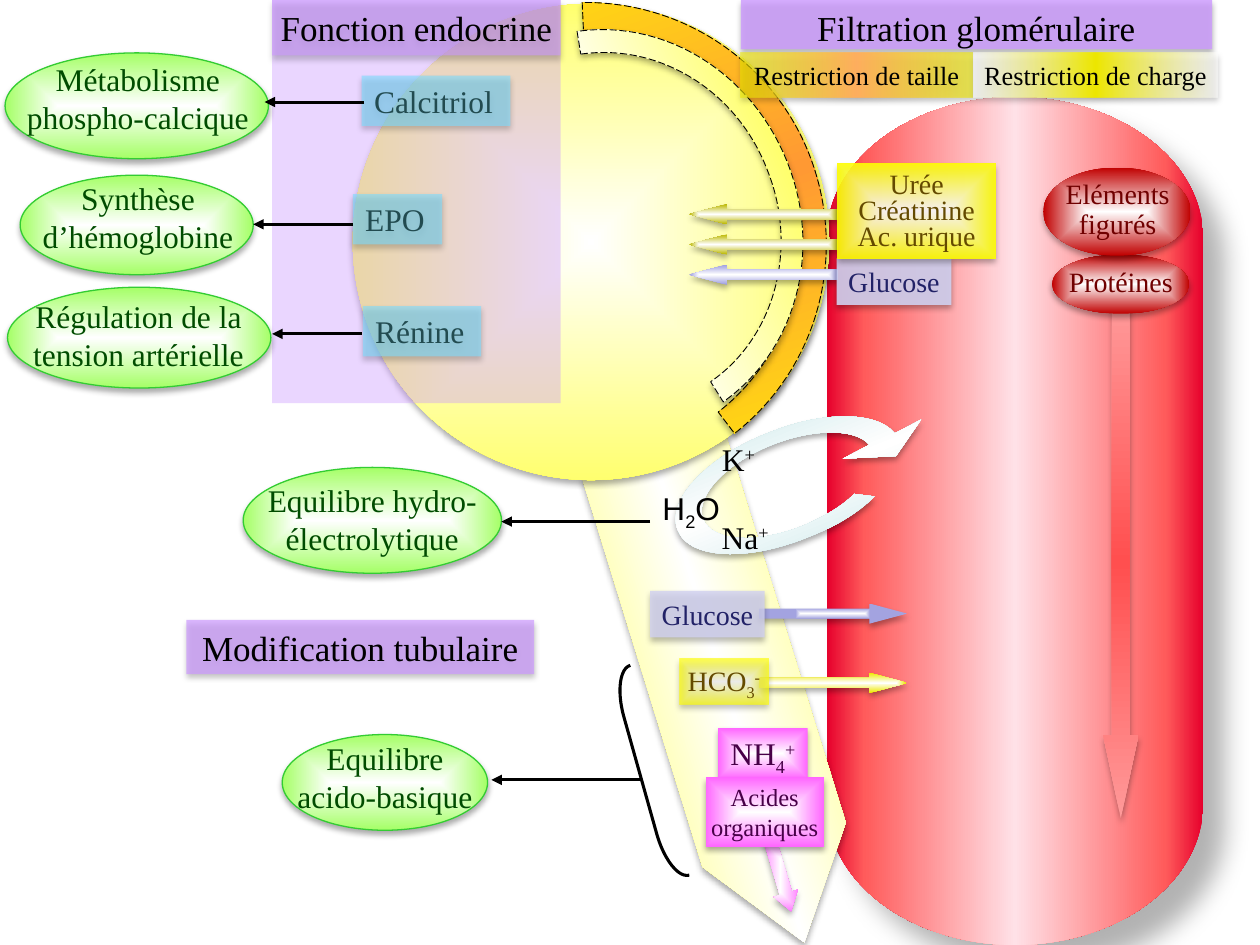
import math

from pptx import Presentation
from pptx import util as u
from pptx.dml.color import RGBColor
from pptx.enum import dml, shapes, text
from pptx.oxml import ns, parse_xml

HUES = dict(
    white="FFFFFF", black="000000", crimson="E6002C", red="FF5B5B", blush="FFE1E7",
    lemon="FFFF4F", yellow="FFFF00", gold="EEE800", amber="F0EA00", orange="FF9933",
    peach="FFAF5F", olive="BCB800", brown="644A00", violet="CC99FF", sky="7DDDFF",
    teal="224B50", lime="A5FF67", green="33CC33", forest="004C00", ice="BBE0E3",
    lilac="D1D1F0", iris="9C9CDF", mauve="A3A3E0", navy="222267", pink="FF66FF",
    plum="480048", blood="C00000", wine="700000", rose="FF9999", coral="FF4F4F")
KIND = shapes.MSO_SHAPE
ALIGN = text.PP_ALIGN
INCH = 2.54  # the layout grid is in inches
SOFT = (32, 3.5, 2.2, 90)  # shadow: opacity, blur, distance, angle
SERIF = "Times New Roman"

deck = Presentation()
deck.slide_width, deck.slide_height = u.Cm(10 * INCH), u.Cm(7.5 * INCH)
slide = deck.slides.add_slide(deck.slide_layouts[6])


def grid(*vals):
    return [u.Cm(v * INCH) for v in vals]


def rgb(hue):
    return RGBColor.from_string(HUES[hue])


def tint(hue, alpha=100):
    veil = f'<a:alpha val="{alpha * 1000}"/>' if alpha < 100 else ""
    return f'<a:srgbClr {ns.nsdecls("a")} val="{HUES[hue]}">{veil}</a:srgbClr>'


def glow(hue, alpha=100, end=100):
    return [(0, "white", alpha), (end, hue, alpha)]


def paint(shape, stops, ang=None):
    """One stop gives a plain fill; no angle gives a fill from the centre."""
    if len(stops) == 1:
        xml = f'<a:solidFill {ns.nsdecls("a")}>{tint(*stops[0][1:])}</a:solidFill>'
    else:
        marks = "".join(f'<a:gs pos="{pos * 1000}">{tint(*hue)}</a:gs>' for pos, *hue in stops)
        way = f'<a:lin ang="{(ang or 0) * 60000}" scaled="0"/>'
        if ang is None:
            way = ('<a:path path="shape"><a:fillToRect l="50000" t="50000" '
                   'r="50000" b="50000"/></a:path>')
        xml = (f'<a:gradFill {ns.nsdecls("a")} rotWithShape="1">'
               f'<a:gsLst>{marks}</a:gsLst>{way}</a:gradFill>')
    shape.fill.background()
    props = shape._element.spPr
    props.replace(props.find(ns.qn("a:noFill")), parse_xml(xml))


def shade(shape, cast):
    shape.shadow.inherit = False
    if cast:
        alpha, blur, dist, ang = cast
        shape._element.spPr.find(ns.qn("a:effectLst")).append(parse_xml(
            f'<a:outerShdw {ns.nsdecls("a")} blurRad="{u.Pt(blur)}" dist="{u.Pt(dist)}" '
            f'dir="{ang * 60000}" algn="ctr" rotWithShape="0">{tint("black", alpha)}</a:outerShdw>'))


def edge(line, hue, width, dash=None):
    line.color.rgb = rgb(hue)
    line.width = u.Pt(width)
    if dash:
        line.dash_style = dash


def form(kind, at, stops=None, ang=None, rot=0, adj=(), cast=SOFT):
    shape = slide.shapes.add_shape(kind, *grid(*at))
    shape.rotation = rot
    for i, val in enumerate(adj):
        shape.adjustments[i] = val
    if stops:
        paint(shape, stops, ang)
    else:
        shape.fill.background()
    shape.line.fill.background()
    shade(shape, cast)
    return shape


def write(shape, words, size, hue, font=SERIF, align=ALIGN.CENTER,
          inset=(0.1, 0.05, 0.1, 0.05), space=None, wrap=True):
    """Lines part at a newline, runs at a bar; _ lowers and ^ raises a run."""
    frame = shape.text_frame
    frame.word_wrap = wrap
    frame.vertical_anchor = text.MSO_ANCHOR.TOP
    (frame.margin_left, frame.margin_top,
     frame.margin_right, frame.margin_bottom) = grid(*inset)
    for i, row in enumerate(words.split("\n")):
        para = frame.add_paragraph() if i else frame.paragraphs[0]
        para.alignment, para.line_spacing = align, space
        para.font.size, para.font.name = u.Pt(size), font
        para.font.color.rgb = rgb(hue)
        for part in row.split("|"):
            run = para.add_run()
            run.text = part.lstrip("_^")
            shift = {"_": "-25000", "^": "30000"}.get(part[0])
            if shift:
                run._r.get_or_add_rPr().set("baseline", shift)


def label(at, words, size, hue, **opts):
    write(slide.shapes.add_textbox(*grid(*at)), words, size, hue, **opts)


def box(at, stops, words, size, hue, ang=None, **opts):
    write(form(KIND.RECTANGLE, at, stops, ang), words, size, hue, **opts)


def oval(at, spot, words):
    shape = form(KIND.OVAL, at, glow("lime"))
    edge(shape.line, "green", 0.75)
    label(spot, words, 18, "forest")


def link(start, end, y):
    line = slide.shapes.add_connector(shapes.MSO_CONNECTOR.STRAIGHT, *grid(start, y, end, y))
    edge(line.line, "black", 1.75)
    line.line._get_or_add_ln().append(parse_xml(f'<a:tailEnd {ns.nsdecls("a")} type="triangle"/>'))
    line._element.spPr.append(parse_xml(f'<a:effectLst {ns.nsdecls("a")}/>'))


def arrow(at, stops, tip=1.87, **opts):
    form(KIND.RIGHT_ARROW, at, stops, adj=(0.5, tip), **opts)


def curve(at, rot, start, moves, stops, ang, dash=True):
    """A pair in moves is a line; six numbers are a cubic curve."""
    left, top, wide, high = at
    mid = left + wide / 2, top + high / 2
    cos, sin = math.cos(math.radians(rot)), math.sin(math.radians(rot))

    def turn(x, y):
        x, y = x - mid[0], y - mid[1]
        return grid(mid[0] + x * cos + y * sin, mid[1] - x * sin + y * cos)

    pen = slide.shapes.build_freeform(*turn(*start))
    pen.add_line_segments([turn(*m[i:i + 2]) for m in moves for i in range(0, len(m), 2)])
    shape = pen.convert_to_shape()

    # Fit the outline to its frame, then bend the lines
    track = shape._element.spPr.find(".//" + ns.qn("a:path"))
    frame = grid(*at)
    for pt in track.iter(ns.qn("a:pt")):
        pt.set("x", str(int(pt.get("x")) + shape.left - frame[0]))
        pt.set("y", str(int(pt.get("y")) + shape.top - frame[1]))
    track.set("w", str(frame[2]))
    track.set("h", str(frame[3]))
    shape.left, shape.top, shape.width, shape.height = frame
    shape.rotation = rot
    steps = iter(track.findall(ns.qn("a:lnTo")))
    for move in moves:
        step = next(steps)
        if len(move) == 6:
            bend = parse_xml(f'<a:cubicBezTo {ns.nsdecls("a")}/>')
            track.replace(step, bend)
            bend.append(step[0])
            for _ in range(2):
                step = next(steps)
                bend.append(step[0])
                track.remove(step)
    paint(shape, stops, ang)
    shade(shape, SOFT)
    if dash:
        edge(shape.line, "black", 0.5, dml.MSO_LINE.LONG_DASH)
    else:
        shape.line.fill.background()


def main():
    # Vessel, tubule and capsule
    form(KIND.FLOWCHART_MAGNETIC_DISK, (6.56, 0.77, 2.99, 6.73),
         [(0, "crimson"), (10, "red"), (50, "blush"), (90, "red"), (100, "crimson")],
         180, rot=180, cast=(30, 15, 18, 45))
    form(KIND.FLOWCHART_OFFPAGE_CONNECTOR, (5.19, 3.52, 1.19, 4.05),
         [(0, "lemon"), (50, "white"), (100, "lemon")], 0, rot=342.8)
    form(KIND.OVAL, (2.8, 0.03, 3.78, 3.78), glow("lemon"), rot=284.7)
    form(KIND.RECTANGLE, (5.88, 0, 3.74, 0.39), [(0, "violet", 80)])
    form(KIND.RECTANGLE, (2.16, 0, 2.29, 3.2), [(0, "violet", 40)], cast=None)

    # Outer filter layer
    curve((2.75, 0.03, 3.82, 3.79), 70.6, (4.63, 0.24),
          [(5.35, 0.23, 6.01, 0.68, 6.25, 1.37), (6.49, 2.06, 6.27, 2.83, 5.7, 3.27),
           (5.83, 3.44), (6.47, 2.94, 6.72, 2.08, 6.45, 1.3), (6.18, 0.52, 5.44, 0.01, 4.62, 0.02)],
          [(0, "yellow"), (50, "orange"), (100, "yellow")], 0)

    # Hormones and tubule effects
    for at, name in (((2.87, 0.6, 1.18, 0.4), "Calcitriol"), ((2.8, 1.54, 0.71, 0.4), "EPO"),
                     ((2.88, 2.43, 0.94, 0.4), "Rénine")):
        box(at, [(0, "sky", 60)], name, 18, "teal", align=ALIGN.LEFT)
    oval((2.24, 5.83, 1.63, 0.76), (2.23, 5.82, 1.65, 0.7), "Equilibre acido-basique")
    oval((1.93, 3.71, 2.05, 0.84), (1.97, 3.77, 1.97, 0.7), "Equilibre hydro-électrolytique")

    # Water and salt loop
    curve((5.31, 3.4, 1.9, 0.89), 157.8, (6.9, 3.53),
          [(6.79, 3.4, 6.46, 3.4, 6.13, 3.53), (5.75, 3.68, 5.51, 3.95, 5.58, 4.12),
           (5.65, 4.3, 6.01, 4.32, 6.38, 4.17), (6.54, 4.1, 6.68, 4.02, 6.78, 3.92),
           (6.94, 3.94), (6.81, 4.07, 6.63, 4.18, 6.42, 4.26),
           (5.94, 4.46, 5.47, 4.44, 5.38, 4.21), (5.28, 3.98, 5.6, 3.63, 6.09, 3.44),
           (6.52, 3.26, 6.96, 3.26, 7.1, 3.44), (7.31, 3.33), (7.11, 3.62), (6.69, 3.64), (6.9, 3.53)],
          [(0, "ice"), (50, "white"), (100, "ice")], 90, dash=False)
    label((5.16, 3.83, 0.67, 0.4), "H|_2|O", 18, "black", font="Arial", align=ALIGN.LEFT, wrap=False)
    for at, ion in (((5.63, 3.44, 0.55, 0.4), "K|^+"), ((5.63, 4.06, 0.63, 0.4), "Na|^+")):
        label(at, ion, 18, "black", align=ALIGN.LEFT)

    # Inner filter layer
    curve((3.24, 0.34, 3.23, 2.99), 68.4, (4.61, 0.43),
          [(5.23, 0.34, 5.85, 0.72, 6.09, 1.35), (6.34, 1.97, 6.15, 2.68, 5.64, 3.03),
           (5.74, 3.19), (6.32, 2.78, 6.53, 1.99, 6.25, 1.29), (5.97, 0.58, 5.28, 0.15, 4.58, 0.25)],
          [(0, "yellow"), (50, "white"), (100, "yellow")], 90)

    # Endocrine effects and links
    slim = (0.04, 0.05, 0.04, 0.05)
    tight = (0.04, 0.04, 0.04, 0.04)
    link(5.16, 3.98, 4.14)
    link(5.08, 3.9, 6.19)
    box((2.16, 0, 2.29, 0.44), [(0, "violet", 60)], "Fonction endocrine", 20, "black",
        inset=(0.06, 0.05, 0.06, 0.05))
    oval((0.04, 0.42, 2.09, 0.84), (0.11, 0.43, 1.97, 0.7), "Métabolisme phospho-calcique")
    oval((0.16, 1.39, 1.85, 0.79), (0.11, 1.37, 1.97, 0.7), "Synthèse d’hémoglobine")
    oval((0.06, 2.28, 2.09, 0.8), (0.15, 2.31, 1.9, 0.7), "Régulation de la tension artérielle")
    for start, end, y in ((2.8, 2.01, 1.78), (2.87, 2.16, 2.65), (2.89, 2.1, 0.81)):
        link(start, end, y)

    # Flow arrows and bracket
    for y, hue in ((1.62, "olive"), (2.1, "iris"), (1.86, "olive")):
        arrow((5.47, y, 1.18, 0.16), glow(hue), rot=180)
    arrow((6.02, 5.34, 1.18, 0.16), glow("gold", end=99))
    arrow((5.9, 6.85, 0.59, 0.2), glow("pink"), 0.75, rot=73.5)
    hook = form(KIND.LEFT_BRACKET, (5.08, 5.27, 0.16, 1.73), rot=344.3, adj=(2.4,), cast=None)
    edge(hook.line, "black", 1.75)

    # Filtration and tubule headings
    for at, rim, core, words in (
            ((5.88, 0.42, 1.84, 0.35), "amber", "peach", "Restriction de taille"),
            ((7.73, 0.42, 1.93, 0.35), "white", "gold", "Restriction de charge")):
        box(at, [(0, rim, 60), (50, core), (100, rim, 60)], words, 15, "black", ang=0, inset=slim)
    label((5.88, 0, 3.74, 0.43), "Filtration glomérulaire", 20, "black")
    arrow((6.86, 4.32, 4.07, 0.28), [(0, "rose"), (50, "coral"), (100, "rose")], 2.36, ang=0, rot=90)
    arrow((6.02, 4.79, 1.18, 0.16), glow("mauve", end=50))
    box((1.48, 4.92, 2.76, 0.43), [(0, "violet", 70)], "Modification tubulaire", 20, "black")

    # Solutes
    box((5.16, 4.69, 0.91, 0.37), [(0, "lilac", 82)], "Glucose", 16, "navy", inset=slim)
    box((5.39, 5.23, 0.71, 0.36), glow("yellow", 70), "HCO|_3|^-", 16, "brown", inset=tight)
    box((5.7, 5.78, 0.71, 0.4), glow("pink"), "NH|_4|^+", 18, "plum", inset=(0.02, 0.05, 0.02, 0.05))
    box((5.6, 6.17, 0.94, 0.55), glow("pink"), "Acides organiques", 14, "plum", inset=tight)
    box((6.64, 2.05, 0.91, 0.37), [(0, "lilac", 90)], "Glucose", 16, "navy", inset=slim)
    box((6.65, 1.3, 1.25, 0.75), glow("yellow", 90), "Urée\nCréatinine\nAc. urique", 16, "brown",
        inset=(0.04, 0.08, 0.04, 0.04), space=u.Pt(15))

    # Retained elements
    for at, spot, words, space in (
            ((8.35, 2.02, 1.09, 0.47), (8.35, 2.05, 1.09, 0.37), "Protéines", None),
            ((8.28, 1.33, 1.17, 0.7), (8.28, 1.38, 1.18, 0.59), "Eléments figurés", 0.9)):
        form(KIND.OVAL, at, glow("blood"))
        label(spot, words, 16, "wine", space=space)


main()
deck.save("out.pptx")
